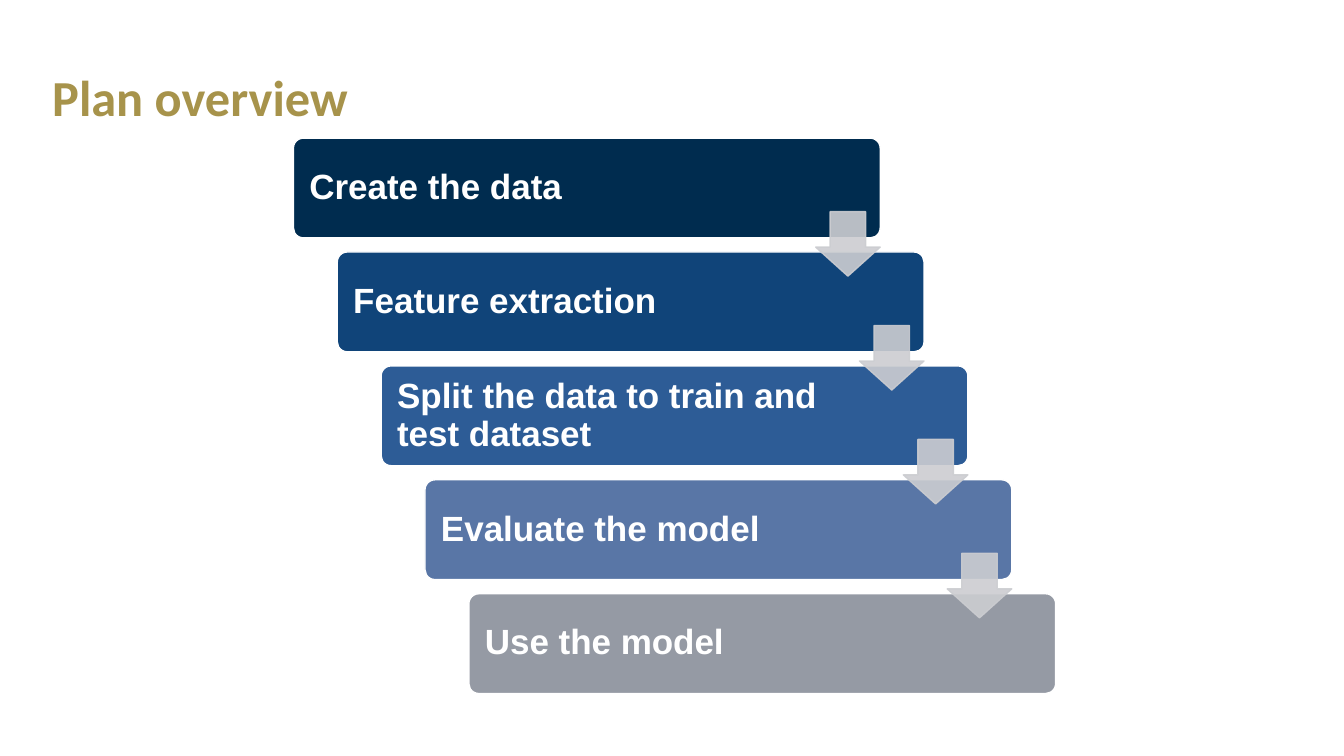
from lxml import etree
from pptx import Presentation
from pptx.dml.color import RGBColor
from pptx.enum.shapes import MSO_SHAPE
from pptx.enum.text import MSO_ANCHOR, PP_ALIGN
from pptx.oxml.ns import qn
from pptx.util import Inches, Pt

ROUNDED = MSO_SHAPE.ROUNDED_RECTANGLE
DOWN_ARROW = MSO_SHAPE.DOWN_ARROW
MIDDLE = MSO_ANCHOR.MIDDLE
LEFT = PP_ALIGN.LEFT

WHITE = "FFFFFF"
GOLD = "A7934B"
ARROW_GREY = "CCCDD1"
STEPS = [
    ("Create the data", "002C4F"),
    ("Feature extraction", "104479"),
    ("Split the data to train and test dataset", "2D5C96"),
    ("Evaluate the model", "5976A6"),
    ("Use the model", "959AA4"),
]
STEP_WIDTH, STEP_HEIGHT = 5.82, 0.99
ARROW_SIZE = 0.64
ARROW_DROP = 0.73  # from the top of a step to the top of its arrow


def color(hex_string):
    return RGBColor.from_string(hex_string)


def set_text(shape, text, font_name, size, hex_string, insets):
    frame = shape.text_frame
    frame.word_wrap = True
    frame.vertical_anchor = MIDDLE
    (frame.margin_left, frame.margin_top,
     frame.margin_right, frame.margin_bottom) = map(Inches, insets)
    frame.text = text
    paragraph = frame.paragraphs[0]
    paragraph.alignment = LEFT
    paragraph.line_spacing = 0.9
    font = paragraph.runs[0].font
    font.name = font_name
    font.size = Pt(size)
    font.bold = True
    font.color.rgb = color(hex_string)


def add_preset(slide, preset, box, adjustments, fill, line):
    shape = slide.shapes.add_shape(preset, *map(Inches, box))
    shape.shadow.inherit = False
    for index, value in enumerate(adjustments):
        shape.adjustments[index] = value
    shape.fill.solid()
    shape.fill.fore_color.rgb = color(fill)
    shape.line.color.rgb = color(line)
    shape.line.width = Pt(1)
    return shape


def set_opacity(shape, percent):
    """Make the fill and the outline partly transparent."""
    for solid_fill in shape._element.spPr.iter(qn("a:solidFill")):
        alpha = etree.SubElement(solid_fill[0], qn("a:alpha"))
        alpha.set("val", str(percent * 1000))


def add_title(slide, text, box):
    title = slide.shapes.add_textbox(*map(Inches, box))
    set_text(title, text, "Calibri", 36, GOLD, (0.1, 0.05, 0.1, 0.05))


def add_staircase(slide, steps, box):
    left, top, width, height = box
    shift = (width - STEP_WIDTH) / (len(steps) - 1)
    drop = (height - STEP_HEIGHT) / (len(steps) - 1)
    corners = [(left + i * shift, top + i * drop) for i in range(len(steps))]

    # Steps
    for (text, fill), (x, y) in zip(steps, corners):
        step = add_preset(slide, ROUNDED, (x, y, STEP_WIDTH, STEP_HEIGHT),
                          [0.1], fill, WHITE)
        set_text(step, text, "Arial", 25, WHITE, (0.13, 0.13, 1.21, 0.13))

    # Arrows from each step to the next, flush with the step's right edge
    for x, y in corners[:-1]:
        arrow_box = (x + STEP_WIDTH - ARROW_SIZE, y + ARROW_DROP,
                     ARROW_SIZE, ARROW_SIZE)
        arrow = add_preset(slide, DOWN_ARROW, arrow_box, [0.55, 0.45],
                           ARROW_GREY, ARROW_GREY)
        set_opacity(arrow, 90)


def main():
    presentation = Presentation()
    presentation.slide_width = Inches(13.33)
    presentation.slide_height = Inches(7.5)
    slide = presentation.slides.add_slide(presentation.slide_layouts[6])
    add_title(slide, "Plan overview", (0.42, 0.44, 12.5, 1.11))
    add_staircase(slide, STEPS, (2.91, 1.37, 7.56, 5.51))
    presentation.save("out.pptx")


if __name__ == "__main__":
    main()
